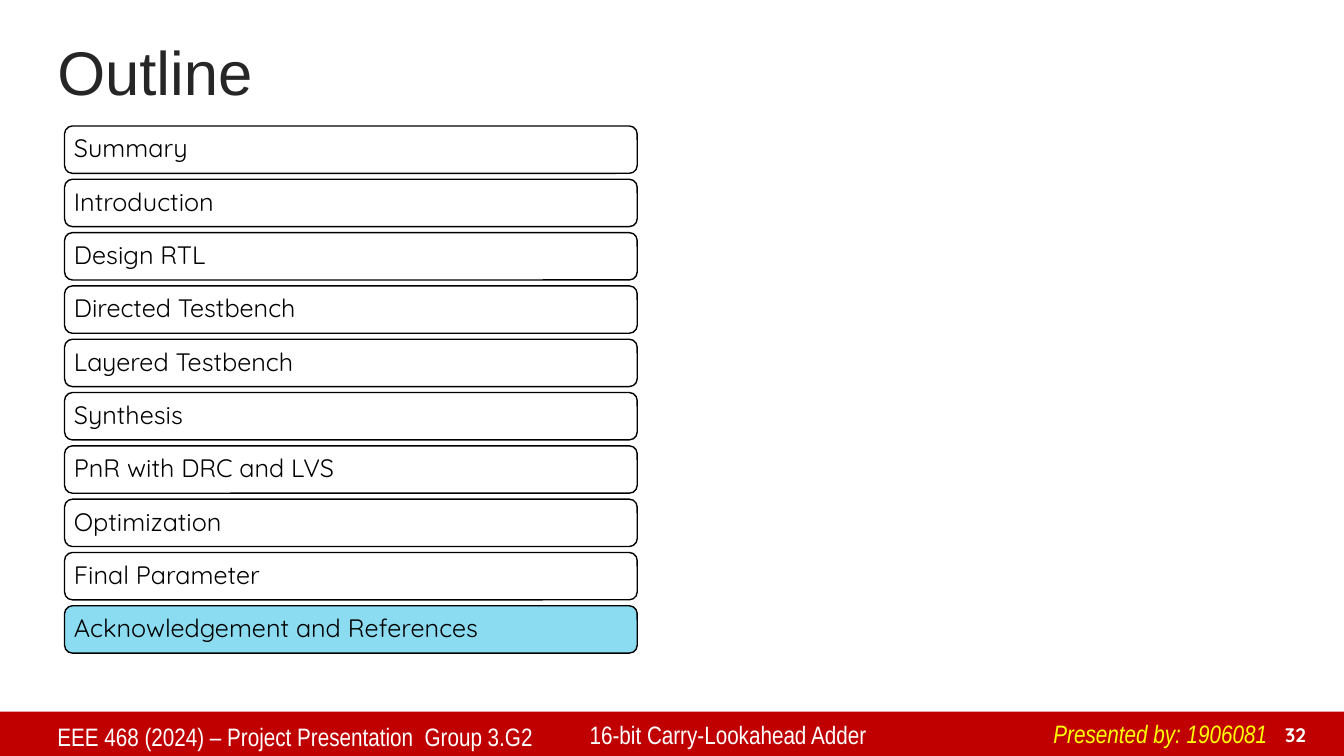
from pptx import Presentation
from pptx.dml.color import RGBColor
from pptx.enum.shapes import MSO_SHAPE as Shape
from pptx.enum.text import MSO_ANCHOR as Anchor, PP_ALIGN as Align
from pptx.util import Inches, Pt

WHITE = RGBColor(0xFF, 0xFF, 0xFF)
BLACK = RGBColor(0x00, 0x00, 0x00)
CHARCOAL = RGBColor(0x26, 0x26, 0x26)
RED = RGBColor(0xC0, 0x00, 0x00)
YELLOW = RGBColor(0xFF, 0xFF, 0x00)
SKY = RGBColor(0x8B, 0xDB, 0xF1)

TOPICS = [
    "Summary",
    "Introduction",
    "Design RTL",
    "Directed Testbench",
    "Layered Testbench",
    "Synthesis",
    "PnR with DRC and LVS",
    "Optimization",
    "Final Parameter",
    "Acknowledgement and References",
]
CURRENT_TOPIC = TOPICS[-1]
FIRST_TOP, LAST_TOP = 1.25, 6.01


class OutlinePage:
    title_font = "Arial"
    topic_font = "Quicksand"
    footer_font = "Arial Narrow"

    def __init__(self, page):
        self.page = page

    def panel(self, kind, left, top, width, height, fill, line=None):
        box = self.page.shapes.add_shape(
            kind, Inches(left), Inches(top), Inches(width), Inches(height))
        box.shadow.inherit = False
        box.fill.solid()
        box.fill.fore_color.rgb = fill
        if line is None:
            box.line.fill.background()
        else:
            box.line.color.rgb = line
            box.line.width = Pt(1)
        return box

    def set_text(self, box, text, font, size, color, anchor=Anchor.TOP,
                 align=Align.LEFT, bold=False, italic=False, wrap=True):
        """Set and format the single paragraph of a box."""
        frame = box.text_frame
        frame.word_wrap = wrap
        frame.vertical_anchor = anchor
        frame.text = text
        para = frame.paragraphs[0]
        para.alignment = align
        span = para.runs[0].font
        span.name, span.size = font, Pt(size)
        span.bold, span.italic = bold, italic
        span.color.rgb = color
        return para

    def label(self, left, top, width, height, text, font, size, color, **style):
        box = self.page.shapes.add_textbox(
            Inches(left), Inches(top), Inches(width), Inches(height))
        return self.set_text(box, text, font, size, color, **style)

    def title(self, text):
        para = self.label(0.47, 0.35, 11, 0.8, text, self.title_font, 44,
                          CHARCOAL, anchor=Anchor.MIDDLE)
        para.line_spacing = 0.9

    def topic(self, top, text, fill):
        box = self.panel(Shape.ROUNDED_RECTANGLE, 0.64, top, 5.68, 0.47,
                         fill, BLACK)
        frame = box.text_frame
        frame.margin_left = frame.margin_right = Inches(0.07)
        frame.margin_top = frame.margin_bottom = Inches(0.07)
        para = self.set_text(box, text, self.topic_font, 18, BLACK,
                             anchor=Anchor.MIDDLE)
        para.line_spacing = 0.9

    def footer(self, left, top, width, text, color=WHITE, **style):
        self.label(left, top, width, 0.41, text, self.footer_font, 18,
                   color, **style)

    def page_number(self, text):
        self.label(12.48, 7.11, 0.57, 0.34, text, self.topic_font, 14, WHITE,
                   anchor=Anchor.BOTTOM, align=Align.RIGHT, bold=True)


def main():
    deck = Presentation()
    deck.slide_width, deck.slide_height = Inches(13.33), Inches(7.5)
    outline = OutlinePage(deck.slides.add_slide(deck.slide_layouts[6]))

    outline.panel(Shape.RECTANGLE, 0, 7.06, 13.33, 0.44, RED)
    outline.title("Outline")
    outline.page_number("32")
    outline.footer(0.47, 7.11, 5.28,
                   "EEE 468 (2024) – Project Presentation  Group 3.G2")
    outline.footer(5.75, 7.09, 4.24, "16-bit Carry-Lookahead Adder")
    outline.footer(10.35, 7.08, 2.35, "Presented by: 1906081", YELLOW,
                   italic=True, wrap=False)

    pitch = (LAST_TOP - FIRST_TOP) / (len(TOPICS) - 1)
    for row, topic in enumerate(TOPICS):
        fill = SKY if topic == CURRENT_TOPIC else WHITE
        outline.topic(FIRST_TOP + row * pitch, topic, fill)

    deck.save("out.pptx")


if __name__ == "__main__":
    main()
